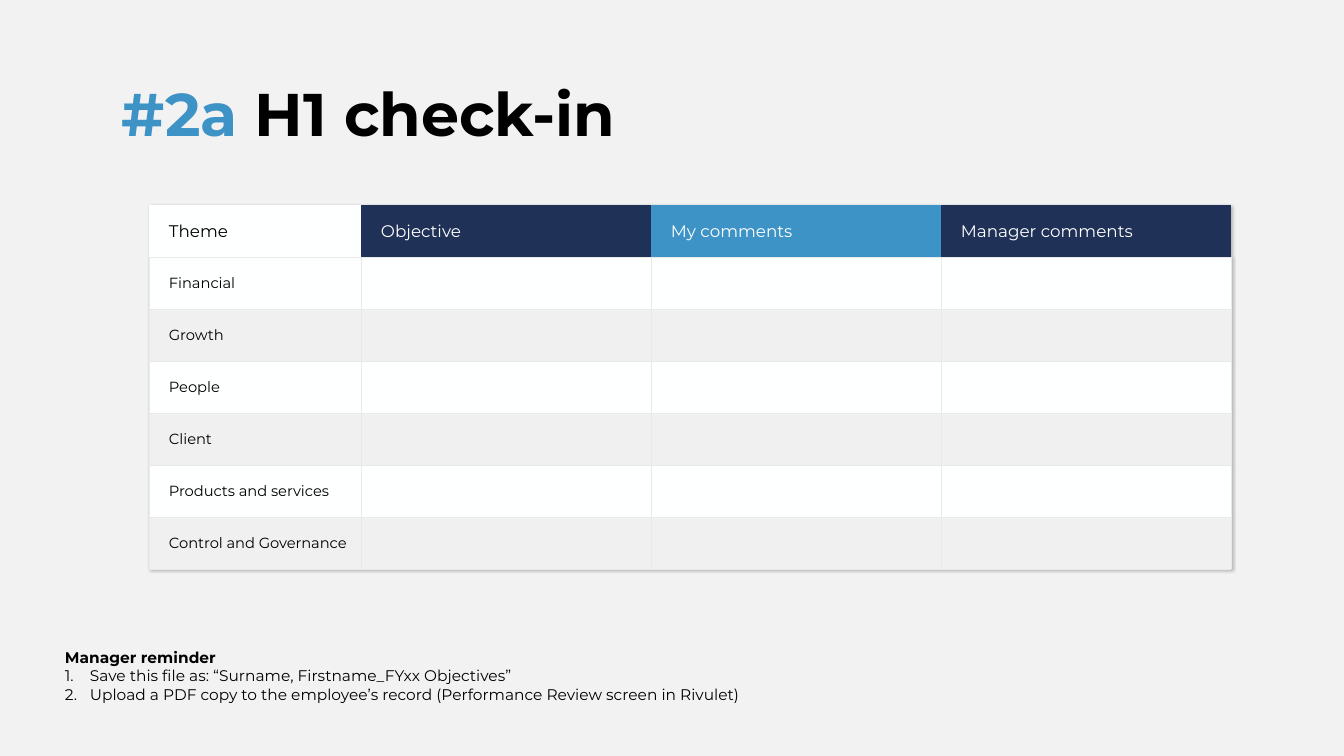
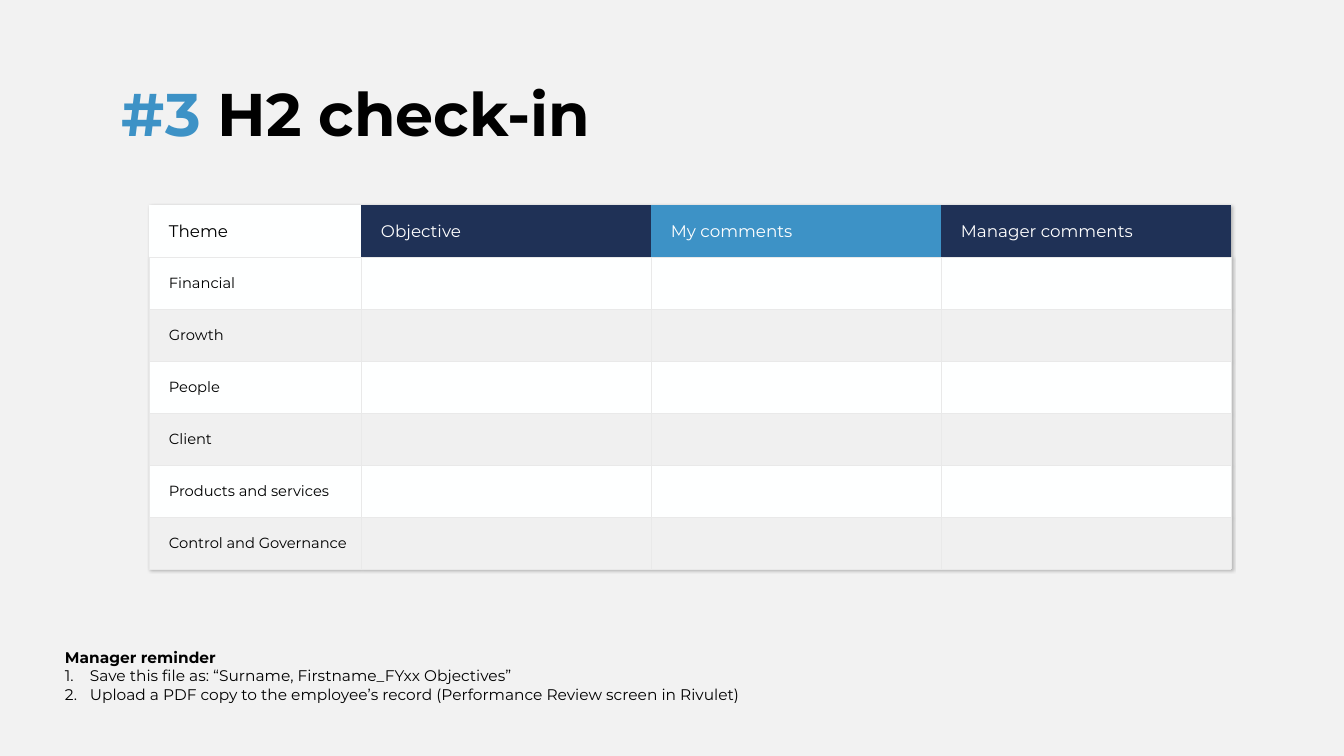
from dataclasses import dataclass

from lxml.etree import SubElement
from pptx import Presentation
from pptx.dml.color import RGBColor as RGB
from pptx.enum.text import MSO_ANCHOR as Anchor, MSO_AUTO_SIZE as AutoSize
from pptx.oxml import parse_xml
from pptx.oxml.ns import nsdecls, qn
from pptx.util import Emu, Pt


@dataclass(frozen=True)
class Theme:
    font: str = "Montserrat"
    page: str = "F2F2F2"
    black: str = "000000"
    white: str = "FFFFFF"
    paper: str = "FEFFFF"
    band: str = "F0F0F0"
    grid: str = "E9E9E9"
    navy: str = "1F3156"
    blue: str = "3D92C6"
    title_size: float = 43
    header_size: float = 12
    body_size: float = 10.5
    note_size: float = 11
    grid_width: float = 0.25


T = Theme()
PX_PER_INCH = 100.8
NO_STYLE = "{2D5ABB26-0587-4C30-8999-92F81FD0307C}"

CHECK_INS = [("#2a ", "H1 check-in"), ("#3 ", "H2 check-in")]
HEADERS = [
    ("Theme", T.paper, T.black),
    ("Objective", T.navy, T.white),
    ("My comments", T.blue, T.white),
    ("Manager comments", T.navy, T.white),
]
THEMES = ["Financial", "Growth", "People", "Client",
          "Products and services", "Control and Governance"]
REMINDERS = [
    "Save this file as: “Surname, Firstname_FYxx Objectives”",
    "Upload a PDF copy to the employee’s record (Performance Review screen in Rivulet)",
]
COLUMN_WIDTHS = [212, 290, 290, 290]
ROW_HEIGHT = 52


def px(n):
    return Emu(round(n * 914400 / PX_PER_INCH))


def set_attrs(obj, values):
    for name, value in values.items():
        setattr(obj, name, value)


def add_run(p, text, size, color=T.black, bold=False):
    r = p.add_run()
    r.text = text
    set_attrs(r.font, {"name": T.font, "size": Pt(size), "bold": bold})
    r.font.color.rgb = RGB.from_string(color)


def add_text_box(slide, x, y, w, h):
    tf = slide.shapes.add_textbox(px(x), px(y), px(w), px(h)).text_frame
    tf.word_wrap = True
    return tf


def add_title(slide, number, name):
    p = add_text_box(slide, 112, 80, 560, 138).paragraphs[0]
    p.line_spacing = 0.9
    add_run(p, number, T.title_size, T.blue, True)
    add_run(p, name, T.title_size, bold=True)


def number_paragraph(p):
    pPr = p._p.get_or_add_pPr()
    indent = px(25)
    pPr.set("marL", str(indent))
    pPr.set("indent", str(-indent))
    SubElement(pPr, qn("a:buFont"), typeface="+mj-lt")
    SubElement(pPr, qn("a:buAutoNum"), type="arabicPeriod")


def add_reminder(slide):
    tf = add_text_box(slide, 55, 643, 749, 67)
    tf.auto_size = AutoSize.SHAPE_TO_FIT_TEXT
    add_run(tf.paragraphs[0], "Manager reminder", T.note_size, bold=True)
    for text in REMINDERS:
        p = tf.add_paragraph()
        number_paragraph(p)
        add_run(p, text, T.note_size)


def set_borders(cell, sides):
    tcPr = cell._tc.get_or_add_tcPr()
    for i, side in enumerate(sides):
        tcPr.insert(i, parse_xml(
            f'<a:ln{side} {nsdecls("a")} w="{Pt(T.grid_width)}"><a:solidFill>'
            f'<a:srgbClr val="{T.grid}"/></a:solidFill></a:ln{side}>'))


def style_cell(cell, fill, sides):
    set_attrs(cell, {"margin_left": px(20), "margin_right": 0, "margin_top": 0,
                     "margin_bottom": 0, "vertical_anchor": Anchor.MIDDLE})
    cell.fill.solid()
    cell.fill.fore_color.rgb = RGB.from_string(fill)
    set_borders(cell, sides)


def style_table(table):
    set_attrs(table, {"first_row": False, "horz_banding": False})
    tblPr = table._tbl.tblPr
    tblPr.find(qn("a:tableStyleId")).text = NO_STYLE
    tblPr.insert(0, parse_xml(
        f'<a:effectLst {nsdecls("a")}><a:outerShdw blurRad="{px(3)}" dist="{px(2)}" '
        'dir="2700000" algn="tl" rotWithShape="0"><a:srgbClr val="000000">'
        '<a:alpha val="25000"/></a:srgbClr></a:outerShdw></a:effectLst>'))


def add_objectives_table(slide):
    rows = len(THEMES) + 1
    table = slide.shapes.add_table(
        rows, len(HEADERS), px(149), px(205),
        px(sum(COLUMN_WIDTHS)), px(rows * ROW_HEIGHT)).table
    style_table(table)
    for column, width in zip(table.columns, COLUMN_WIDTHS):
        column.width = px(width)
    for row in table.rows:
        row.height = px(ROW_HEIGHT)
    for col, (text, fill, color) in enumerate(HEADERS):
        cell = table.cell(0, col)
        style_cell(cell, fill, "B")
        add_run(cell.text_frame.paragraphs[0], text, T.header_size, color)
    for row, text in enumerate(THEMES, 1):
        for col in range(len(HEADERS)):
            style_cell(table.cell(row, col), T.paper if row % 2 else T.band, "LRTB")
        add_run(table.cell(row, 0).text_frame.paragraphs[0], text, T.body_size)


def main():
    prs = Presentation()
    set_attrs(prs, {"slide_width": px(1344), "slide_height": px(756)})
    fill = prs.slide_master.background.fill
    fill.solid()
    fill.fore_color.rgb = RGB.from_string(T.page)
    for number, name in CHECK_INS:
        slide = prs.slides.add_slide(prs.slide_layouts[6])
        add_objectives_table(slide)
        add_title(slide, number, name)
        add_reminder(slide)
    prs.save("out.pptx")


if __name__ == "__main__":
    main()
